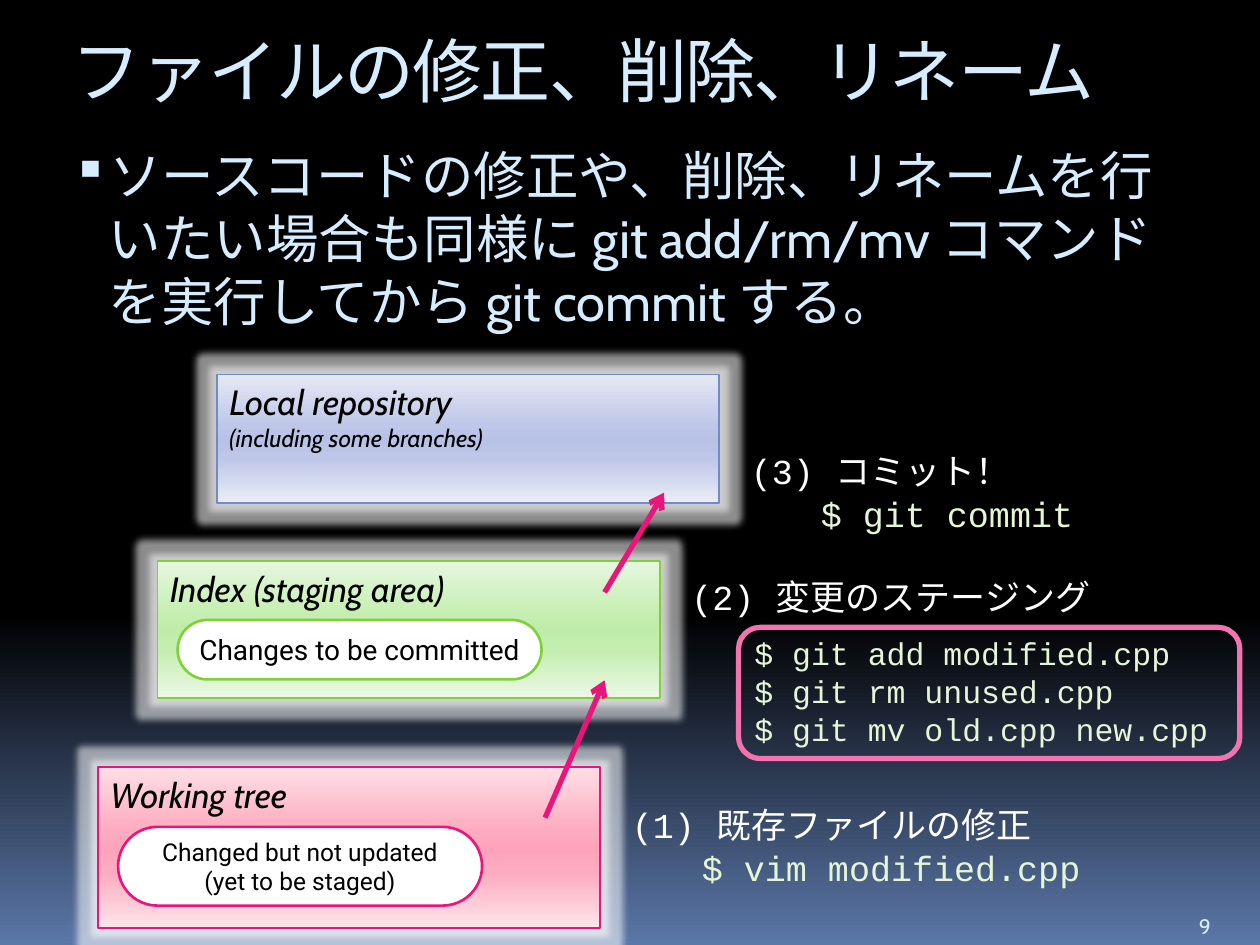
from lxml import etree
from pptx import Presentation
from pptx.dml.color import RGBColor
from pptx.enum.shapes import MSO_CONNECTOR, MSO_SHAPE
from pptx.enum.text import MSO_ANCHOR, PP_ALIGN
from pptx.oxml.ns import qn
from pptx.util import Pt

RECTANGLE, ROUNDED = MSO_SHAPE.RECTANGLE, MSO_SHAPE.ROUNDED_RECTANGLE
STRAIGHT = MSO_CONNECTOR.STRAIGHT
TOP, MIDDLE, BOTTOM = MSO_ANCHOR.TOP, MSO_ANCHOR.MIDDLE, MSO_ANCHOR.BOTTOM
CENTER = PP_ALIGN.CENTER

TITLE = "ファイルの修正、削除、リネーム"
BODY = "ソースコードの修正や、削除、リネームを行いたい場合も同様に git add/rm/mv コマンドを実行してから git commit する。"
PAGE = "9"
PALE, WHITE, BLACK, CODE, PINK, ROSE = "D6ECFF", "FFFFFF", "000000", "E5F6D8", "EA157A", "F273AF"
BACKGROUND = [(0, "000000"), (65, "000000"), (100, "5B77A8")]
STOPS = (0, 40, 50, 65, 100)

STAGES = [
    {"name": "Working tree", "top": 438.5, "height": 92, "line": PINK,
     "colors": ("FDDEE5", "FDABC0", "FDA3BB", "FDABC0", "FDE5EB"),
     "pill": ("Changed but not updated\n(yet to be staged)", 14, 472.5, 45),
     "step": "(1) 既存ファイルの修正", "step_top": 455.75, "step_size": (292, 55.5),
     "commands": ["$ vim modified.cpp"], "code_size": 20, "gap": 0},
    {"name": "Index (staging area)", "top": 320.5, "height": 78.5, "line": "7FD13B",
     "colors": ("E6F7E0", "C4EEB0", "BEEDA9", "C4EEB0", "ECF8E6"),
     "pill": ("Changes to be committed", 16, 354.25, 34),
     "step": "(2) 変更のステージング", "step_top": 325.5, "step_size": (332, 105),
     "commands": ["$ git add modified.cpp", "$ git rm unused.cpp", "$ git mv old.cpp new.cpp"],
     "code_size": 18, "gap": 9},
    {"name": "Local repository", "note": "(including some branches)",
     "top": 214, "height": 73.5, "line": "738AC8",
     "colors": ("E5E8F4", "BEC7E8", "B8C2E6", "BEC7E8", "EAEDF6"),
     "step": "(3) コミット！", "step_top": 253.5, "step_size": (225, 55.5),
     "commands": ["$ git commit"], "code_size": 20, "gap": 0},
]
FIRST_LEFT, SHIFT, STAGE_WIDTH = 56, 34, 287
PILL_INDENT, PILL_WIDTH, STEP_INDENT = 11.5, 208, 298
ARROWS = [(388.75, 467.25), (281.5, 338.5)]
ARROW_TIP, ARROW_TAIL = 289.5, 255.5


def rgb(value):
    """Turn a hex string into a colour."""
    return RGBColor.from_string(value)


def set_gradient(fill, element, stops):
    """Fill from top to bottom with the given (percent, colour) stops."""
    fill.gradient()
    fill.gradient_angle = 270
    stop_list = next(element.iter(qn("a:gsLst")))
    for old in list(stop_list):
        stop_list.remove(old)
    for percent, color in stops:
        stop = etree.SubElement(stop_list, qn("a:gs"), pos=str(percent * 1000))
        etree.SubElement(stop, qn("a:srgbClr"), val=color)


def style(paragraph, size, font, color, italic=False):
    """Set the font of a whole paragraph."""
    paragraph.font.size, paragraph.font.name = Pt(size), font
    paragraph.font.color.rgb = rgb(color)
    paragraph.font.italic = italic


def add_text(slide, text, box, size, font, color, anchor=TOP):
    """Add a wrapping text box and return its frame."""
    frame = slide.shapes.add_textbox(*map(Pt, box)).text_frame
    frame.word_wrap, frame.vertical_anchor = True, anchor
    frame.text = text
    style(frame.paragraphs[0], size, font, color)
    return frame


def add_box(slide, kind, box, line, width):
    """Add an outlined shape without shadow."""
    shape = slide.shapes.add_shape(kind, *map(Pt, box))
    shape.shadow.inherit = False
    shape.line.color.rgb, shape.line.width = rgb(line), Pt(width)
    return shape


def add_glow(shape):
    """Surround a shape with a translucent white glow."""
    effects = next(shape.element.iter(qn("a:effectLst")))
    glow = etree.SubElement(effects, qn("a:glow"), rad=str(Pt(8)))
    color = etree.SubElement(glow, qn("a:srgbClr"), val=WHITE)
    etree.SubElement(color, qn("a:alpha"), val="55000")


def add_stage(slide, stage, left):
    """Draw one glowing storage area with its heading."""
    shape = add_box(slide, RECTANGLE, (left, stage["top"], STAGE_WIDTH, stage["height"]), stage["line"], 0.94)
    set_gradient(shape.fill, shape.element, zip(STOPS, stage["colors"]))
    add_glow(shape)
    frame = shape.text_frame
    frame.vertical_anchor = TOP
    frame.text = "\n".join(filter(None, (stage["name"], stage.get("note"))))
    for paragraph, size in zip(frame.paragraphs, (20, 14)):
        style(paragraph, size, "Cabin", BLACK, italic=True)
        paragraph.alignment = PP_ALIGN.LEFT


def add_pill(slide, stage, left):
    """Draw the state of the files inside a stage."""
    text, size, top, height = stage["pill"]
    shape = add_box(slide, ROUNDED, (left + PILL_INDENT, top, PILL_WIDTH, height), stage["line"], 1.5)
    shape.adjustments[0] = 0.5
    shape.fill.solid()
    shape.fill.fore_color.rgb = rgb(WHITE)
    frame = shape.text_frame
    frame.vertical_anchor, frame.text = MIDDLE, text
    for paragraph in frame.paragraphs:
        style(paragraph, size, "Roboto", BLACK)
        paragraph.alignment = CENTER


def add_step(slide, stage, left):
    """Write a numbered step with its indented commands."""
    box = (left + STEP_INDENT, stage["step_top"], *stage["step_size"])
    frame = add_text(slide, stage["step"], box, 20, "Courier New", WHITE)
    size = stage["code_size"]
    for index, command in enumerate(stage["commands"]):
        paragraph = frame.add_paragraph()
        paragraph.text = command
        paragraph._p.get_or_add_pPr().set("marL", str(Pt(2 * size)))
        paragraph.line_spacing = Pt(size * 1.21)
        paragraph.space_before = Pt(0 if index else stage["gap"])
        style(paragraph, size, "Courier New", CODE)


def add_arrow(slide, left, tip, tail):
    """Draw an arrow from one stage up to the next."""
    arrow = slide.shapes.add_connector(STRAIGHT, Pt(left + ARROW_TIP), Pt(tip), Pt(left + ARROW_TAIL), Pt(tail))
    arrow.line.color.rgb, arrow.line.width = rgb(PINK), Pt(3)
    etree.SubElement(arrow.line._get_or_add_ln(), qn("a:headEnd"), type="arrow")
    etree.SubElement(arrow._element.spPr, qn("a:effectLst"))


def add_heading(slide):
    """Write the title, the bulleted sentence and the page number."""
    title = add_text(slide, TITLE, (34, 11.5, 650, 56), 40, "DejaVu Sans Mono", PALE, MIDDLE)
    title.paragraphs[0].runs[0].font._element.set("spc", "-100")
    body = add_text(slide, BODY, (34, 78.5, 650, 152), 30, "Cabin", PALE)
    properties = body.paragraphs[0]._p.get_or_add_pPr()
    properties.set("marL", str(Pt(21)))
    properties.set("indent", str(Pt(-21)))
    bullet = [("buClr", {}), ("buSzPct", {"val": "95000"}), ("buChar", {"char": "▪"})]
    for index, (tag, attributes) in enumerate(bullet):
        element = etree.Element(qn("a:" + tag), **attributes)
        if tag == "buClr":
            etree.SubElement(element, qn("a:srgbClr"), val=PALE)
        properties.insert(index, element)
    add_text(slide, PAGE, (678, 511, 36, 29), 12, "Cabin", PALE, BOTTOM)


def main():
    """Build the slide."""
    presentation = Presentation()
    presentation.slide_width, presentation.slide_height = Pt(720), Pt(540)
    slide = presentation.slides.add_slide(presentation.slide_layouts[6])
    set_gradient(slide.background.fill, slide.element, BACKGROUND)
    add_heading(slide)
    lefts = [FIRST_LEFT + SHIFT * index for index in range(len(STAGES))]
    for stage, left in zip(STAGES, lefts):
        add_stage(slide, stage, left)
        if "pill" in stage:
            add_pill(slide, stage, left)
        add_step(slide, stage, left)
    for left, (tip, tail) in zip(lefts, ARROWS):
        add_arrow(slide, left, tip, tail)
    add_box(slide, ROUNDED, (422, 358.5, 286.5, 75), ROSE, 3).fill.background()
    presentation.save("out.pptx")


if __name__ == "__main__":
    main()
